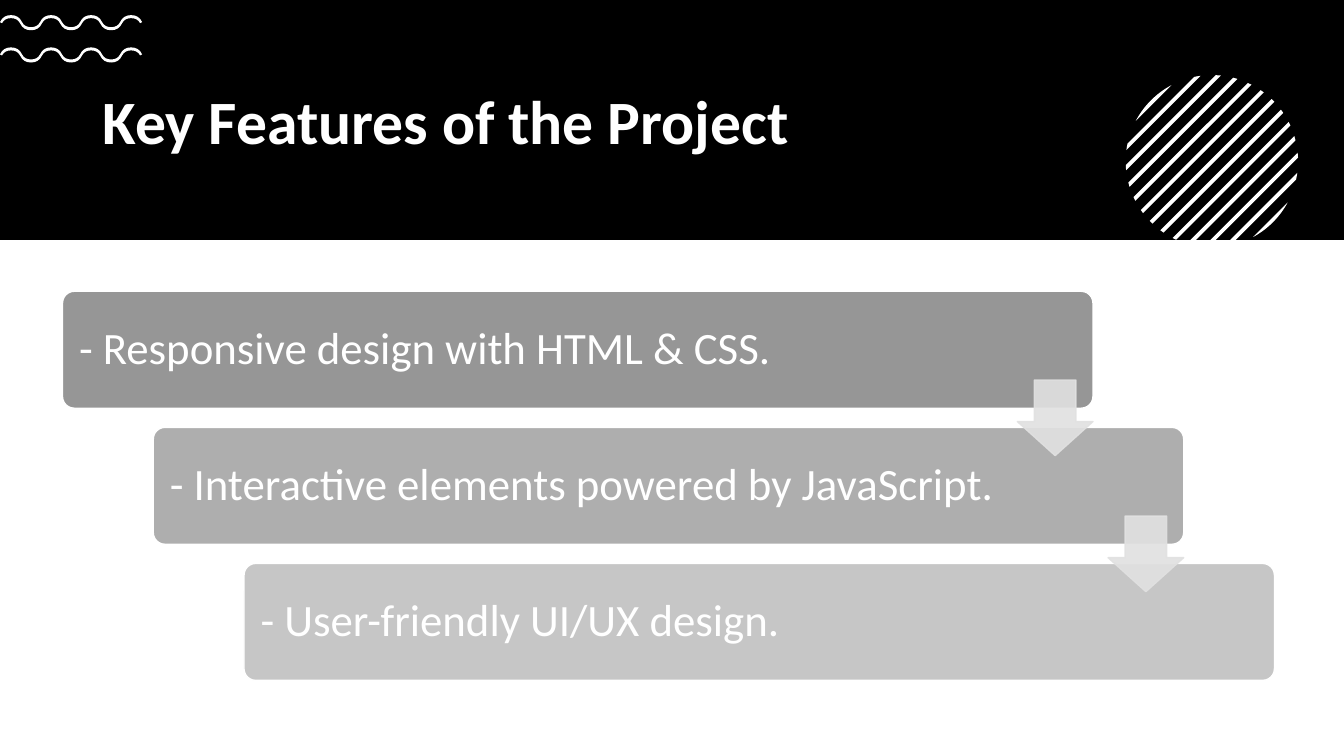
import math
from lxml import etree
from pptx import Presentation, util as u
from pptx.dml import color
from pptx.enum import shapes, text
from pptx.oxml import ns

TITLE = "Key Features of the Project"
FEATURES = [
    ("- Responsive design with HTML & CSS.", "969696"),
    ("- Interactive elements powered by JavaScript.", "AEAEAE"),
    ("- User-friendly UI/UX design.", "C6C6C6"),
]
FONT = "Calibri"
BLACK, WHITE, ARROW = "000000", "FFFFFF", "E1E1E1"

BANNER_HEIGHT = 2.38
CARD_LEFT, CARD_TOP, CARD_WIDTH, CARD_HEIGHT = 0.62, 2.89, 10.22, 1.16
STEP_X, STEP_Y = 0.9, 1.35
ARROW_SIZE, ARROW_DROP = 0.75, 0.88

WAVE_CENTRES = (0.545, 0.225)
WAVE_LEFT, WAVE_RIGHT, HUMP_COUNT = 0.01, 1.4, 7
HUMP_HEIGHT, WAVE_SPREAD = 0.06, 0.01

DISC_X, DISC_Y, DISC_RADIUS = 12.02, 1.6, 0.855
STRIPE_COUNT, STRIPE_FIRST, STRIPE_STEP, STRIPE_WIDTH = 13, 12.41, 0.1975, 0.054

deck = Presentation()
deck.slide_width, deck.slide_height = u.Inches(13.33), u.Inches(7.5)
page = deck.slides.add_slide(deck.slide_layouts[6])


def paint(target, hex_color):
    if hasattr(target, "solid"):
        target.solid()
        target.fore_color.rgb = color.RGBColor.from_string(hex_color)
    else:
        target.rgb = color.RGBColor.from_string(hex_color)


def add_block(kind, left, top, width, height, fill, line=None):
    block = page.shapes.add_shape(kind, *map(u.Inches, (left, top, width, height)))
    block.shadow.inherit = False
    paint(block.fill, fill)
    if line:
        paint(block.line.color, line)
        block.line.width = u.Pt(1)
    else:
        block.line.fill.background()
    return block


def write(box, words, size, bold=False):
    frame = box.text_frame
    frame.word_wrap = True
    frame.vertical_anchor = text.MSO_ANCHOR.MIDDLE
    para = frame.paragraphs[0]
    para.alignment = text.PP_ALIGN.LEFT
    para.line_spacing = 0.9
    span = para.add_run()
    span.text = words
    span.font.name, span.font.size, span.font.bold = FONT, u.Pt(size), bold
    paint(span.font.color, WHITE)


def add_outline(start, moves):
    corners = [(u.Inches(x), u.Inches(y)) for move in moves for x, y in move]
    builder = page.shapes.build_freeform(*map(u.Inches, start), scale=1.0)
    builder.add_line_segments(corners, close=True)
    outline = builder.convert_to_shape()
    outline.shadow.inherit = False
    paint(outline.fill, WHITE)
    outline.line.fill.background()
    lines = iter(list(outline.element.spPr.iter(ns.qn("a:lnTo"))))
    for move in moves:
        first, *others = [next(lines) for _ in move]
        if others:
            curve = etree.Element(ns.qn("a:cubicBezTo"))
            first.addprevious(curve)
            for line in (first, *others):
                curve.append(line[0])
                line.getparent().remove(line)


def curves(points):
    return [points[index:index + 3] for index in range(0, len(points), 3)]


def wave_edge(centre, spread):
    pitch = (WAVE_RIGHT - WAVE_LEFT) / HUMP_COUNT
    base = centre - spread / 2
    points = [(WAVE_LEFT - spread, base)]
    for hump in range(HUMP_COUNT):
        side = 1 if hump % 2 == 0 else -1
        half = pitch / 2 + side * spread
        peak = WAVE_LEFT + (hump + 0.5) * pitch
        height = side * HUMP_HEIGHT + spread
        shape = [(-0.8, 0.7), (-0.45, 1), (0, 1), (0.45, 1), (0.8, 0.7), (1, 0)]
        points += [(peak + across * half, base - up * height) for across, up in shape]
    return points


def add_wave(centre):
    upper = wave_edge(centre, WAVE_SPREAD)
    lower = wave_edge(centre, -WAVE_SPREAD)[::-1]
    add_outline(upper[0], curves(upper[1:]) + [lower[:1]] + curves(lower[1:]))


def rim(angle, tangent=0):
    return (DISC_X + DISC_RADIUS * (math.cos(angle) - tangent * math.sin(angle)),
            DISC_Y + DISC_RADIUS * (math.sin(angle) + tangent * math.cos(angle)))


def arc(start, end):
    reach = 4 / 3 * math.tan((end - start) / 4)
    return [rim(start, reach), rim(end, -reach), rim(end)]


def add_stripe(index):
    low = STRIPE_FIRST + index * STRIPE_STEP
    high = low + STRIPE_WIDTH
    axis = math.pi / 4

    def opening(total):
        return math.acos((total - DISC_X - DISC_Y) / math.sqrt(2) / DISC_RADIUS)

    if index == 0:
        turn = opening(high)
        add_outline(rim(axis - turn), [[rim(axis + turn)], arc(axis + turn, axis + math.tau - turn)])
        return
    near = opening(low)
    if index == STRIPE_COUNT - 1:
        add_outline(rim(axis - near), [arc(axis - near, axis + near)])
        return
    far = opening(high)
    moves = [arc(axis - near, axis - far)]
    if rim(axis + far)[1] > BANNER_HEIGHT:
        moves += [[(total - BANNER_HEIGHT, BANNER_HEIGHT)] for total in (high, low)]
    else:
        moves += [[rim(axis + far)], arc(axis + far, axis + near)]
    add_outline(rim(axis - near), moves)


add_block(shapes.MSO_SHAPE.RECTANGLE, 0, 0, 13.33, BANNER_HEIGHT, BLACK)
title = page.shapes.add_textbox(*map(u.Inches, (0.92, 0.62, 11.5, 1.23)))
write(title, TITLE, 44, bold=True)

for centre in WAVE_CENTRES:
    add_wave(centre)
for index in range(STRIPE_COUNT):
    add_stripe(index)

for index, (words, fill) in enumerate(FEATURES):
    card = add_block(shapes.MSO_SHAPE.ROUNDED_RECTANGLE,
                     CARD_LEFT + index * STEP_X, CARD_TOP + index * STEP_Y,
                     CARD_WIDTH, CARD_HEIGHT, fill, WHITE)
    card.adjustments[0] = 0.1
    frame = card.text_frame
    frame.margin_left = frame.margin_right = u.Inches(0.13)
    frame.margin_top = frame.margin_bottom = u.Inches(0.13)
    write(card, words, 32)

for index in range(len(FEATURES) - 1):
    arrow = add_block(shapes.MSO_SHAPE.DOWN_ARROW,
                      CARD_LEFT + CARD_WIDTH - ARROW_SIZE + index * STEP_X,
                      CARD_TOP + ARROW_DROP + index * STEP_Y,
                      ARROW_SIZE, ARROW_SIZE, ARROW, ARROW)
    arrow.adjustments[0], arrow.adjustments[1] = 0.55, 0.45
    for tint in arrow.element.spPr.iter(ns.qn("a:srgbClr")):
        etree.SubElement(tint, ns.qn("a:alpha"), val="90000")

deck.save("out.pptx")
